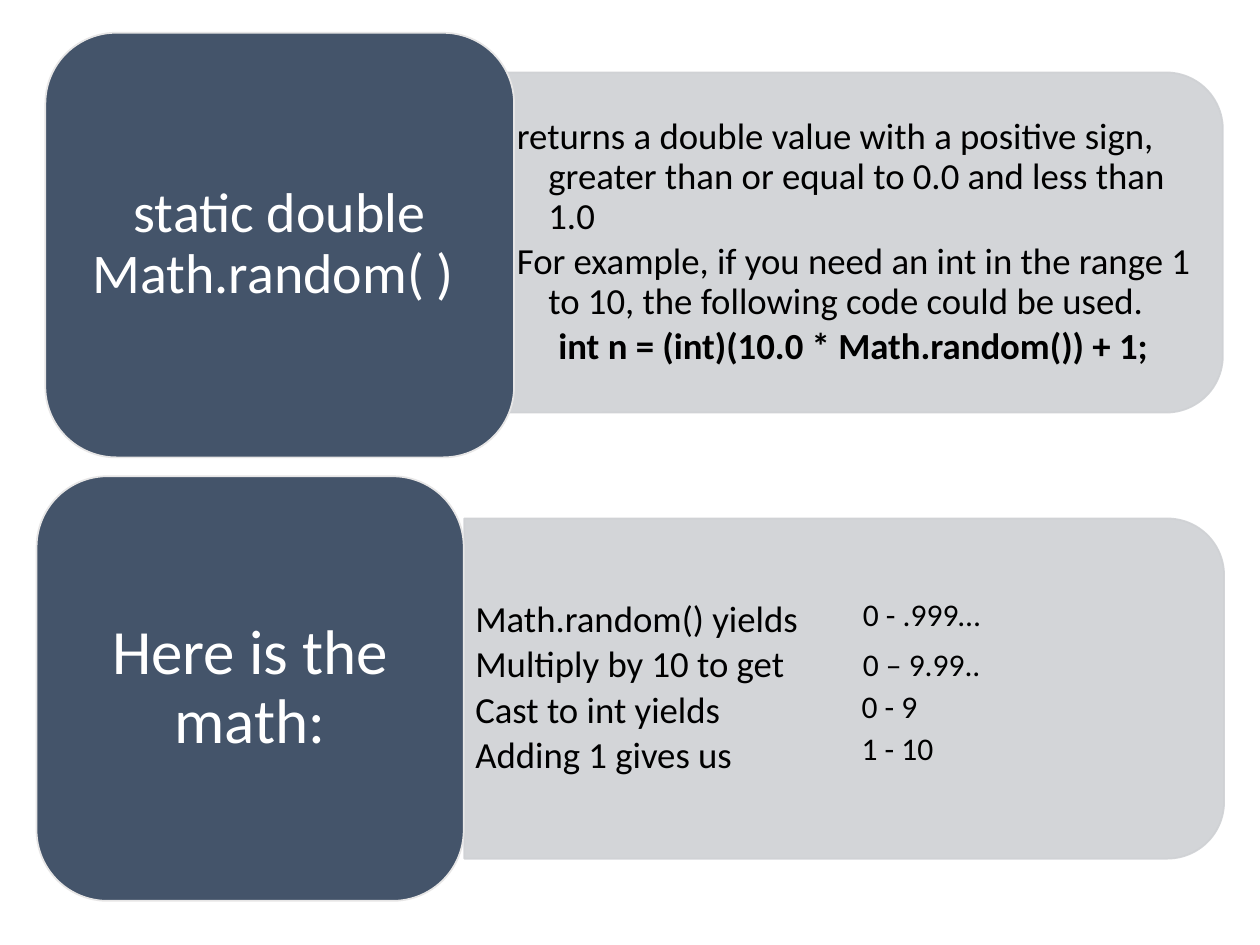
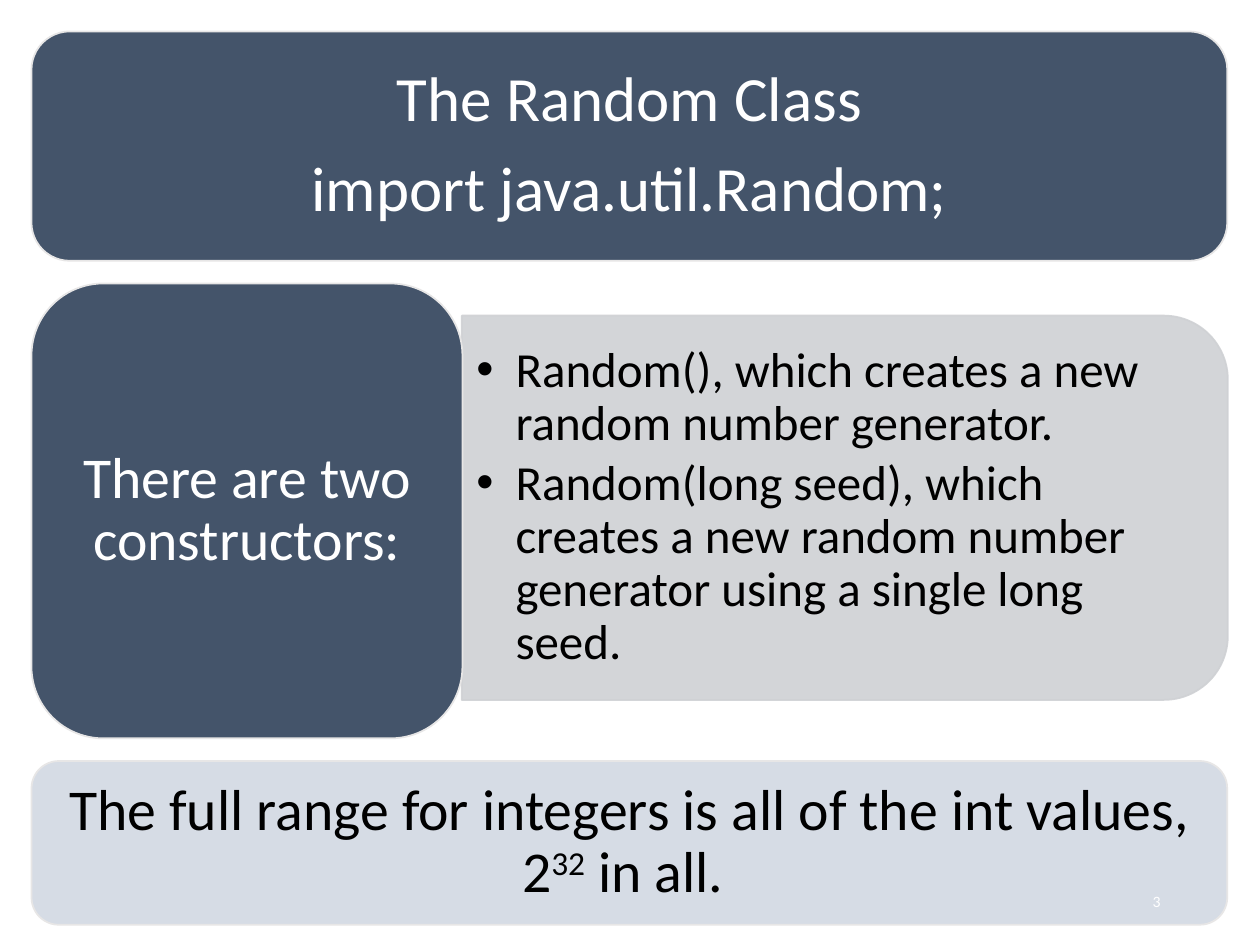
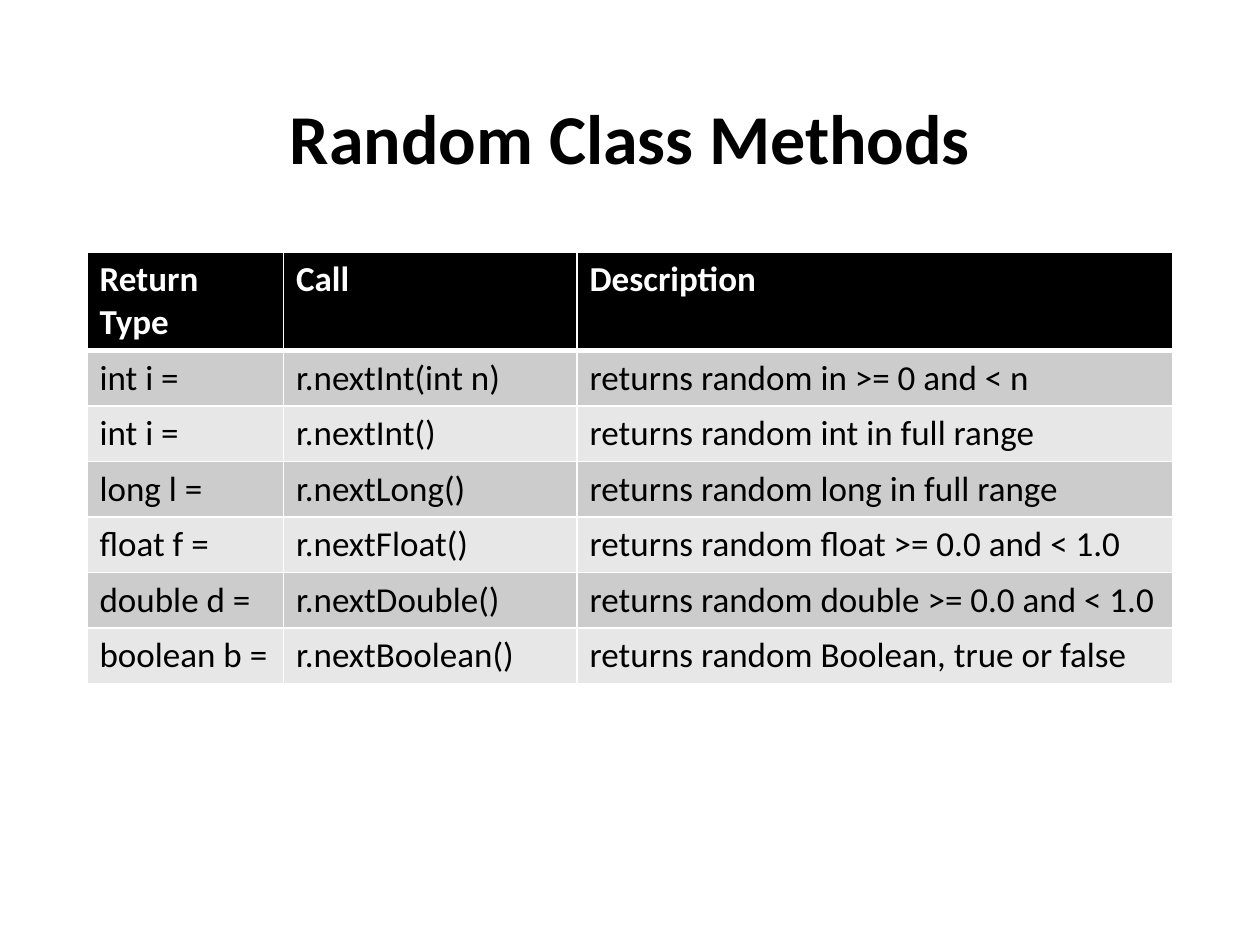
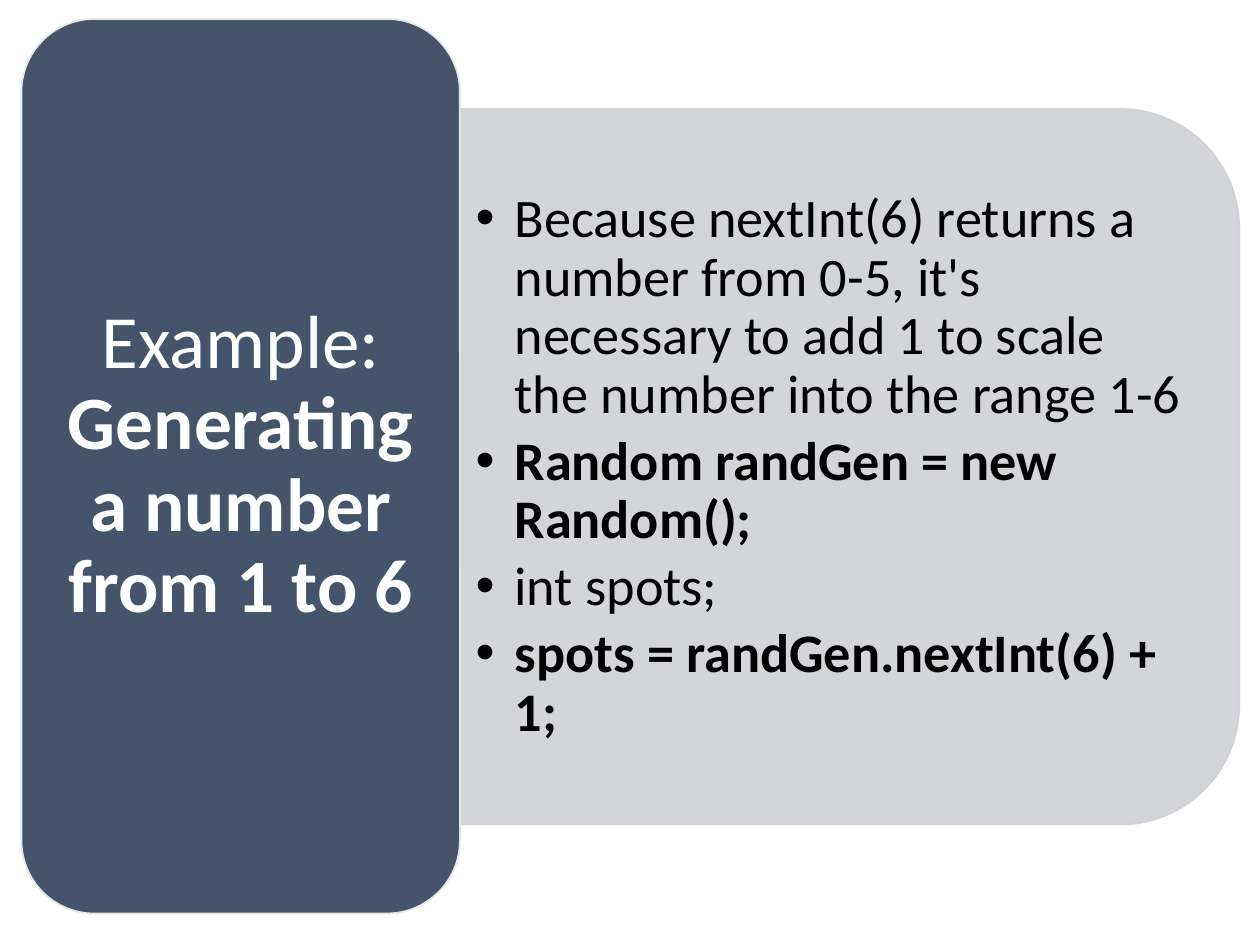
from lxml.etree import SubElement
from pptx import Presentation
from pptx.dml.color import RGBColor
from pptx.enum.shapes import MSO_SHAPE as Preset
from pptx.enum.text import MSO_ANCHOR as Anchor, MSO_AUTO_SIZE as AutoSize, PP_ALIGN as Align
from pptx.oxml.ns import qn
from pptx.util import Inches, Pt

# Shared look
FONT = "Calibri"
NAVY, PALE, GREY, EDGE = "44546A", "D6DCE5", "CFD1D4", "E7E6E6"
WHITE, BLACK = "FFFFFF", "000000"
STRIPES = "CCCCCC", "E7E7E7"
CORNER = 0.05  # text inset inside a rounded panel, share of its short side
TWO_CONTENT, TITLE_CONTENT, TITLE_ONLY = 3, 1, 5
TITLE, BODY, SECOND_BODY, PLAIN = 0, 1, 2, None
color = RGBColor.from_string

deck = Presentation()
deck.slide_width, deck.slide_height = Inches(10), Inches(7.5)


def place(left, top, width, height):
    """Turn percentages of the slide into lengths."""
    wide, high = deck.slide_width / 100, deck.slide_height / 100
    return [int(left * wide), int(top * high), int(width * wide), int(height * high)]


def write(frame, lines, size, ink, align=Align.LEFT, spacing=1, after=0, hang=0, bullet=None):
    """Fill a text frame; each line is a list of (text, style) runs."""
    for number, line in enumerate(lines):
        para = frame.paragraphs[0] if number == 0 else frame.add_paragraph()
        props = para._p.get_or_add_pPr()
        props.set("marL", str(Inches(hang)))
        props.set("indent", str(-Inches(hang)))
        if bullet:
            SubElement(props, qn("a:buFont"), typeface="Arial")
            SubElement(props, qn("a:buChar"), char=bullet)
        else:
            SubElement(props, qn("a:buNone"))
        para.alignment, para.line_spacing = align, spacing
        para.space_before, para.space_after = Pt(0), Pt(size * after)
        for text, style in line:
            span = para.add_run()
            span.text = text
            span.font.name, span.font.size = FONT, Pt(size)
            span.font.bold = style == "bold"
            span.font.color.rgb = color(ink)
            if style == "super":
                span._r.get_or_add_rPr().set("baseline", "30000")


# Panels: kind, placeholder, place in percent, text size, lines
random_call = [
    ("detail", BODY, (40.15, 7.67, 56.9, 36), 21, [
        [("returns a double value with a positive sign, greater than or equal to 0.0 "
          "and less than 1.0", "")],
        [("For example, if you need an int in the range 1 to 10, the following code "
          "could be used.", "")],
        [("     int n = (int)(10.0 * Math.random()) + 1;", "bold")]]),
    ("card", TITLE, (3.6, 3.47, 37.2, 44.93), 32, [[("static double Math.random( ) ", "")]]),
    ("detail", SECOND_BODY, (36.85, 54.87, 60.3, 36), 21, [
        [("Math.random() yields", "")],
        [("Multiply by 10 to get", "")],
        [("Cast to int yields", "")],
        [("Adding 1 gives us", "")]]),
    ("card", PLAIN, (2.9, 50.4, 33.9, 44.93), 36, [[("Here is the math:", "")]]),
]
random_class = [
    ("card", TITLE, (2.5, 3.33, 94.9, 24.27), 36, [
        [("The Random Class", "")],
        [("import java.util.Random;", "")]]),
    ("bullets", BODY, (36.65, 33.4, 60.8, 40.67), 28, [
        [("Random(), which creates a new random number generator.", "")],
        [("Random(long seed), which creates a new random number generator using a "
          "single long seed.", "")]]),
    ("card", PLAIN, (2.5, 30, 34.2, 48.13), 33, [[("There are two constructors:", "")]]),
    ("note", PLAIN, (2.5, 80.53, 94.9, 17.33), 33, [
        [("The full range for integers is all of the int values, 2", ""),
         ("32", "super"), (" in all. ", "")]]),
]
dice_example = [
    ("bullets", BODY, (36.45, 11.53, 61.9, 75.73), 31, [
        [("Because nextInt(6) returns a number from 0-5, it's necessary to add 1 to "
          "scale the number into the range 1-6", "")],
        [("Random randGen = new Random();", "bold")],
        [("int spots;", "")],
        [("spots = randGen.nextInt(6) + 1;", "bold")]]),
    ("card", TITLE, (1.7, 2, 34.8, 94.67), 43, [
        [("Example: ", ""), ("Generating a number from 1 to 6", "bold")]]),
]

# Build every slide and its panels
pages = []
for layout, panels in [(TWO_CONTENT, random_call), (TITLE_CONTENT, random_class),
                       (TITLE_ONLY, []), (TITLE_CONTENT, dice_example)]:
    page = deck.slides.add_slide(deck.slide_layouts[layout])
    pages.append(page)
    for kind, slot, area, size, lines in panels:
        left, top, width, height = place(*area)
        is_list = kind in ("detail", "bullets")

        # Outline: a list panel is a top-rounded shape turned a quarter
        if is_list:
            shift = (width - height) // 2
            panel = page.shapes.add_shape(Preset.ROUND_2_SAME_RECTANGLE,
                                          left + shift, top - shift, height, width)
            panel.rotation = 90
            fill, edge = GREY, GREY
        else:
            panel = page.shapes.add_shape(Preset.ROUNDED_RECTANGLE, left, top, width, height)
            fill, edge = (PALE if kind == "note" else NAVY), EDGE
        panel.shadow.inherit = False
        panel.fill.solid()
        panel.fill.fore_color.rgb = color(fill)
        panel.line.color.rgb = color(edge)
        panel.line.width = Pt(1)
        if is_list:
            for tone in panel._element.spPr.iter(qn("a:srgbClr")):
                SubElement(tone, qn("a:alpha"), val="90000")

        # Text on top, clear of the rounded corners
        inset = int(CORNER * min(width, height))
        if slot is PLAIN:
            box = page.shapes.add_textbox(0, 0, 0, 0)
        else:
            box = page.placeholders[slot]
            page.shapes.element.append(box.element)
        box.left = left if is_list else left + inset
        box.top = top + inset
        box.width = width - inset * (1 if is_list else 2)
        box.height = height - inset * 2
        frame = box.text_frame
        frame.word_wrap, frame.auto_size = True, AutoSize.NONE
        frame.vertical_anchor = Anchor.MIDDLE
        frame.margin_left = frame.margin_right = Pt(size * 0.3)
        frame.margin_top = frame.margin_bottom = Pt(size * 0.15)
        if is_list:
            bulleted = kind == "bullets"
            write(frame, lines, size, BLACK, spacing=0.9, after=0.15,
                  hang=0.31 if bulleted else 0.25, bullet="•" if bulleted else None)
        else:
            write(frame, lines, size, BLACK if kind == "note" else WHITE,
                  Align.CENTER, spacing=0.9, after=0.35)

# Slide 1: results beside each step of the math
for result, left, top, width in [("0 - .999…", 67.5, 62.27, 13.1), ("0 – 9.99..", 67.5, 67.6, 12.5),
                                 ("0 - 9", 67.4, 72, 7.1), ("1 - 10", 67.4, 76.53, 8.5)]:
    box = pages[0].shapes.add_textbox(*place(left, top, width, 5.33))
    box.text_frame.word_wrap = False
    write(box.text_frame, [[(result, "")]], 18, BLACK)

# Slide 2: page number
box = pages[1].shapes.add_textbox(*place(70.6, 92.67, 22.5, 5.33))
box.text_frame.word_wrap = True
box.text_frame.vertical_anchor = Anchor.MIDDLE
write(box.text_frame, [[("3", "")]], 9, WHITE, Align.RIGHT)

# Slide 3: title and table of methods
heading = pages[2].shapes.title
heading.left, heading.top, heading.width, heading.height = place(6.9, 5.33, 86.2, 19.33)
heading.text_frame.vertical_anchor = Anchor.MIDDLE
write(heading.text_frame, [[("Random Class Methods", "bold")]], 40, BLACK,
      Align.CENTER, spacing=0.9)

methods = [
    ("Return Type", "Call", "Description"),
    ("int i =", "r.nextInt(int n)", "returns random in >= 0 and < n"),
    ("int i =", "r.nextInt()", "returns random int in full range"),
    ("long l =", "r.nextLong()", "returns random long in full range"),
    ("float f =", "r.nextFloat()", "returns random float >= 0.0 and < 1.0"),
    ("double d =", "r.nextDouble()", "returns random double >= 0.0 and < 1.0"),
    ("boolean b =", "r.nextBoolean()", "returns random Boolean, true or false"),
]
row_share = 5.47
table = pages[2].shapes.add_table(
    len(methods), 3, *place(6.9, 26.67, 86.2, row_share * len(methods))).table
for column, share in zip(table.columns, (15.6, 23.3, 47.3)):
    column.width = int(deck.slide_width * share / 100)
for row, words in enumerate(methods):
    header = row == 0
    for column, word in enumerate(words):
        cell = table.cell(row, column)
        for side in ("lnL", "lnR", "lnT", "lnB"):
            thick = (header and side == "lnB") or (row == 1 and side == "lnT")
            border = SubElement(cell._tc.get_or_add_tcPr(), qn("a:" + side),
                                w=str(Pt(3 if thick else 1)))
            SubElement(SubElement(border, qn("a:solidFill")), qn("a:srgbClr"), val=WHITE)
        cell.fill.solid()
        cell.fill.fore_color.rgb = color(BLACK if header else STRIPES[(row - 1) % 2])
        write(cell.text_frame, [[(word, "bold" if header else "")]], 20,
              WHITE if header else BLACK)

deck.save("out.pptx")
